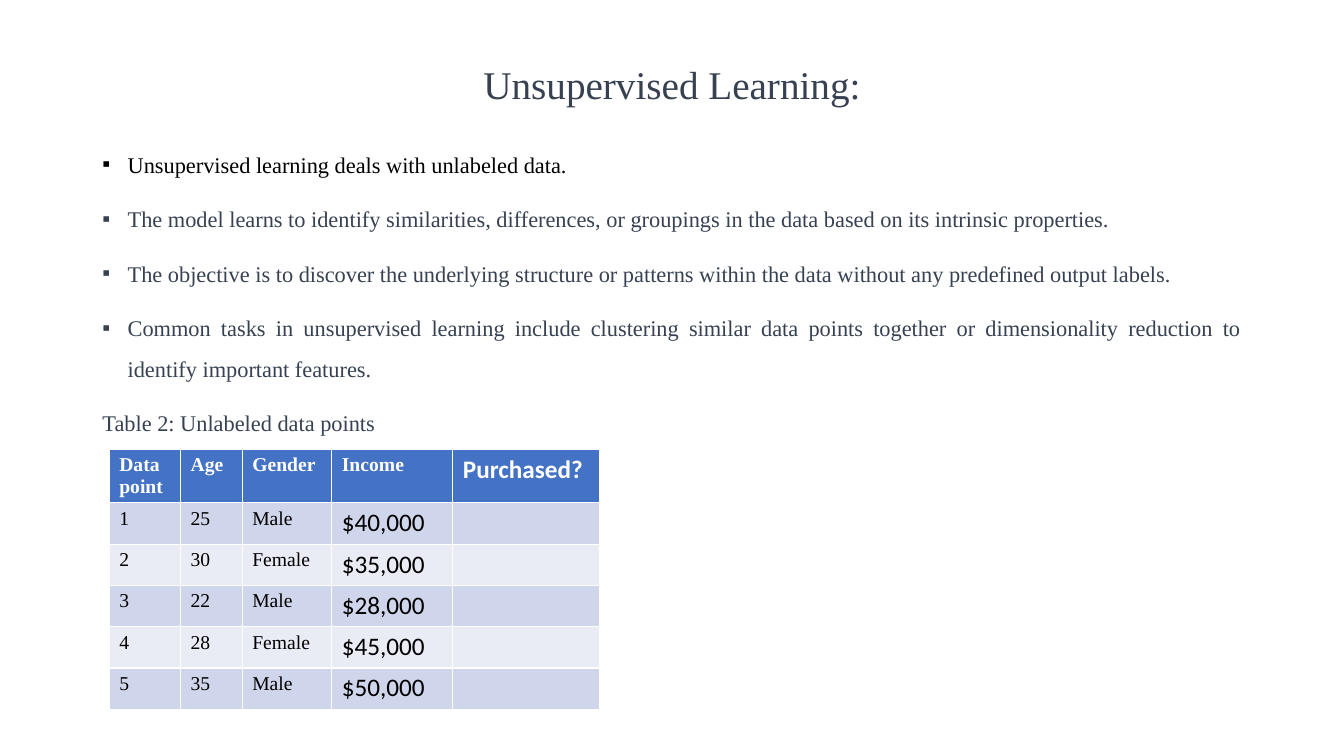
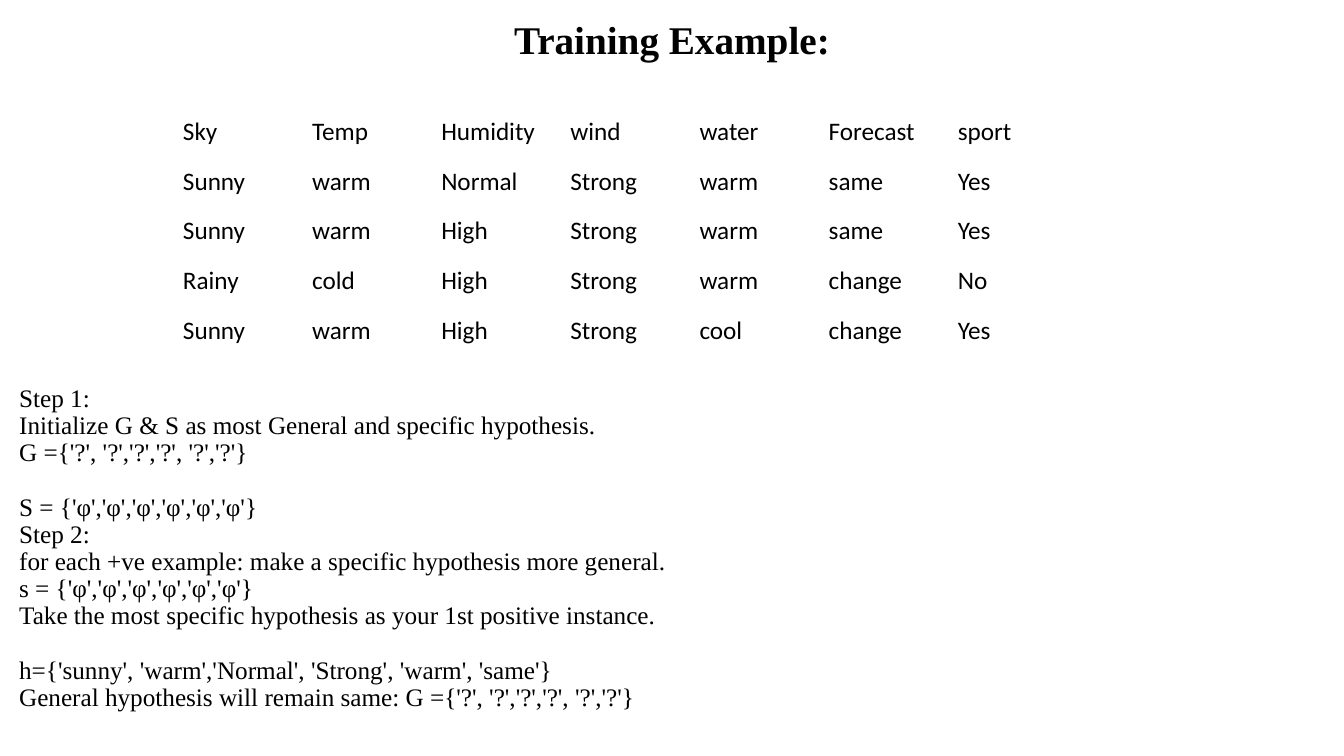
from lxml.etree import SubElement
from pptx import Presentation
from pptx.dml.color import RGBColor
from pptx.enum.text import MSO_ANCHOR, MSO_AUTO_SIZE, PP_ALIGN
from pptx.oxml.ns import qn
from pptx.util import Pt

COLORS = {
    "slate": "374151",
    "black": "000000",
    "title_black": "010101",
    "white": "FFFFFF",
    "header": "4472C4",
    "odd_row": "CFD5EA",
    "even_row": "E9EBF5",
}
SERIF, SANS = "Times New Roman", "Calibri"

TRAITS = [
    "Unsupervised learning deals with unlabeled data.",
    "The model learns to identify similarities, differences, or groupings in the data "
    "based on its intrinsic properties.",
    "The objective is to discover the underlying structure or patterns within the data "
    "without any predefined output labels.",
    "Common tasks in unsupervised learning include clustering similar data points together "
    "or dimensionality reduction to identify important features.",
]
CAPTION = "Table 2: Unlabeled data points"
CUSTOMERS = [
    ["Data\npoint", "Age", "Gender", "Income", "Purchased?"],
    ["1", "25", "Male", "$40,000", ""],
    ["2", "30", "Female", "$35,000", ""],
    ["3", "22", "Male", "$28,000", ""],
    ["4", "28", "Female", "$45,000", ""],
    ["5", "35", "Male", "$50,000", ""],
]
WEATHER = [
    ["Sky", "Temp", "Humidity", "wind", "water", "Forecast", "sport"],
    ["Sunny", "warm", "Normal", "Strong", "warm", "same", "Yes"],
    ["Sunny", "warm", "High", "Strong", "warm", "same", "Yes"],
    ["Rainy", "cold", "High", "Strong", "warm", "change", "No"],
    ["Sunny", "warm", "High", "Strong", "cool", "change", "Yes"],
]
STEP_BLOCKS = [
    ["Step 1:",
     "Initialize G & S as most General and specific hypothesis.",
     "G ={'?', '?','?','?', '?','?'}"],
    ["S = {'φ','φ','φ','φ','φ','φ'}",
     "Step 2:",
     "for each +ve example: make a specific hypothesis more general.",
     "s = {'φ','φ','φ','φ','φ','φ'}",
     "Take the most specific hypothesis as your 1st positive instance."],
    ["h={'sunny', 'warm','Normal', 'Strong', 'warm', 'same'}",
     "General hypothesis will remain same: G ={'?', '?','?','?', '?','?'}"],
]


def style_runs(paragraph, size, color, font=SERIF, bold=False):
    for run in paragraph.runs:
        run.font.size = Pt(size)
        run.font.name = font
        run.font.bold = bold
        run.font.color.rgb = RGBColor.from_string(COLORS[color])


def set_bullet(paragraph, mark=None, indent=0):
    """Give the paragraph a hanging bullet, or none."""
    properties = paragraph._p.get_or_add_pPr()
    properties.set("marL", str(Pt(indent)))
    properties.set("indent", str(-Pt(indent)))
    if mark:
        SubElement(properties, qn("a:buFont"), typeface="Arial")
        SubElement(properties, qn("a:buChar"), char=mark)
    else:
        SubElement(properties, qn("a:buNone"))


def place(placeholder, box):
    """Move a placeholder to box and return its text frame."""
    placeholder.left, placeholder.top, placeholder.width, placeholder.height = map(Pt, box)
    frame = placeholder.text_frame
    frame.word_wrap = True
    frame.auto_size = MSO_AUTO_SIZE.NONE
    return frame


def add_title(slide, text, box, color, bold=False):
    frame = place(slide.shapes.title, box)
    frame.vertical_anchor = MSO_ANCHOR.MIDDLE
    frame.text = text
    heading = frame.paragraphs[0]
    heading.alignment = PP_ALIGN.CENTER
    heading.line_spacing = 0.9
    style_runs(heading, 28, color, bold=bold)


def fill_body(slide, lines, box, leading):
    """Write one paragraph per line at a fixed leading; return the frame."""
    frame = place(slide.placeholders[1], box)
    frame.vertical_anchor = MSO_ANCHOR.TOP
    frame.text = "\n".join(lines)
    for paragraph in frame.paragraphs:
        paragraph.alignment = PP_ALIGN.LEFT
        paragraph.line_spacing = Pt(leading)
        paragraph.space_before = Pt(0)
    return frame


def add_grid(slide, rows, left, top, widths, heights):
    """Add a table and yield each cell with its row and column."""
    table = slide.shapes.add_table(
        len(rows), len(widths), Pt(left), Pt(top), Pt(sum(widths)), Pt(sum(heights))).table
    for column, width in zip(table.columns, widths):
        column.width = Pt(width)
    for row, height in zip(table.rows, heights):
        row.height = Pt(height)
    table.horz_banding = False
    table.first_row = rows is CUSTOMERS
    for r, values in enumerate(rows):
        for c, value in enumerate(values):
            cell = table.cell(r, c)
            cell.text = value
            yield cell, r, c


def add_customer_table(slide, left, top):
    widths = [51, 44, 64, 86.5, 105]
    heights = [37.5] + [29.5] * (len(CUSTOMERS) - 1)
    for cell, r, c in add_grid(slide, CUSTOMERS, left, top, widths, heights):
        is_header = r == 0
        band = "header" if is_header else "odd_row" if r % 2 else "even_row"
        cell.fill.solid()
        cell.fill.fore_color.rgb = RGBColor.from_string(COLORS[band])
        is_sans = c == 4 or (c == 3 and not is_header)
        size, font = (18, SANS) if is_sans else (14, SERIF)
        for paragraph in cell.text_frame.paragraphs:
            style_runs(paragraph, size, "white" if is_header else "black", font, is_header)


def add_weather_table(slide, left, top):
    widths, heights = [92.25] * len(WEATHER[0]), [35.5] * len(WEATHER)
    for cell, _, _ in add_grid(slide, WEATHER, left, top, widths, heights):
        cell.fill.background()
        cell.vertical_anchor = MSO_ANCHOR.MIDDLE
        cell.margin_left, cell.margin_right = Pt(11.2), Pt(0)
        style_runs(cell.text_frame.paragraphs[0], 18, "black", SANS)


def build_unsupervised_slide(slide):
    add_title(slide, "Unsupervised Learning:", (66, 29, 828, 65.5), "slate")
    frame = fill_body(slide, TRAITS + [CAPTION], (66, 94.3, 828, 422), 28.9)
    *traits, caption = frame.paragraphs
    for trait in traits:
        set_bullet(trait, "▪", 18)
    set_bullet(caption)
    traits[-1].alignment = PP_ALIGN.JUSTIFY
    for i, paragraph in enumerate(frame.paragraphs):
        paragraph.space_before = Pt(10 if i else 0)
        style_runs(paragraph, 16, "slate" if i else "black")
    add_customer_table(slide, 78, 321)


def build_training_slide(slide):
    add_title(slide, "Training Example:", (66, 10, 828, 40), "title_black", bold=True)
    leading = 19.4
    lines = [line for block in STEP_BLOCKS for line in block]
    frame = fill_body(slide, lines, (6.5, 65, 945, 465), leading)
    frame.margin_top = Pt(210.4)
    block_starts = [block[0] for block in STEP_BLOCKS[1:]]
    for paragraph in frame.paragraphs:
        set_bullet(paragraph)
        if paragraph.text in block_starts:
            paragraph.space_before = Pt(leading)
        style_runs(paragraph, 18, "black")
    add_weather_table(slide, 119.5, 76.5)


def main():
    deck = Presentation()
    deck.slide_width, deck.slide_height = Pt(960), Pt(540)
    for build in (build_unsupervised_slide, build_training_slide):
        build(deck.slides.add_slide(deck.slide_layouts[1]))
    deck.save("out.pptx")


if __name__ == "__main__":
    main()
